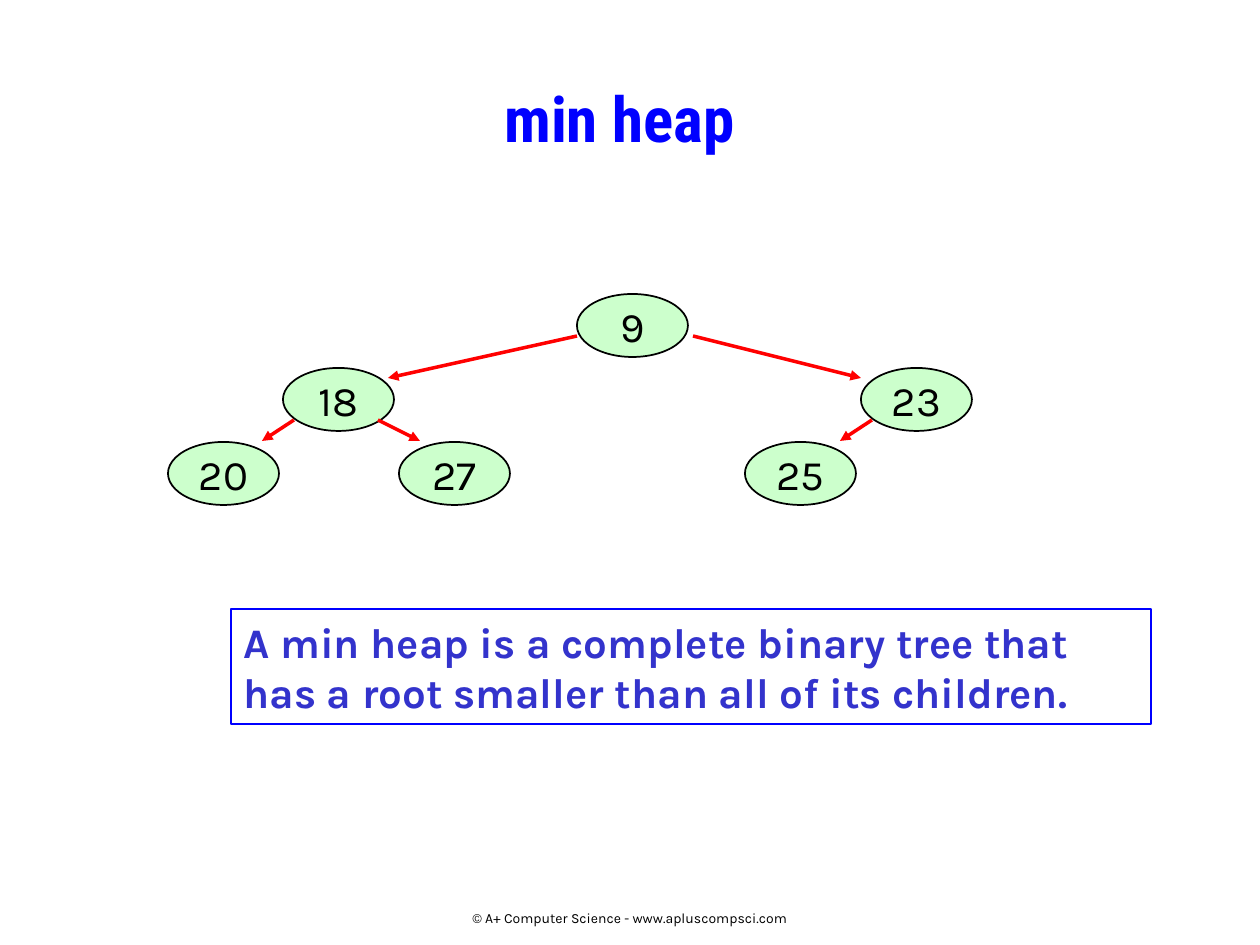
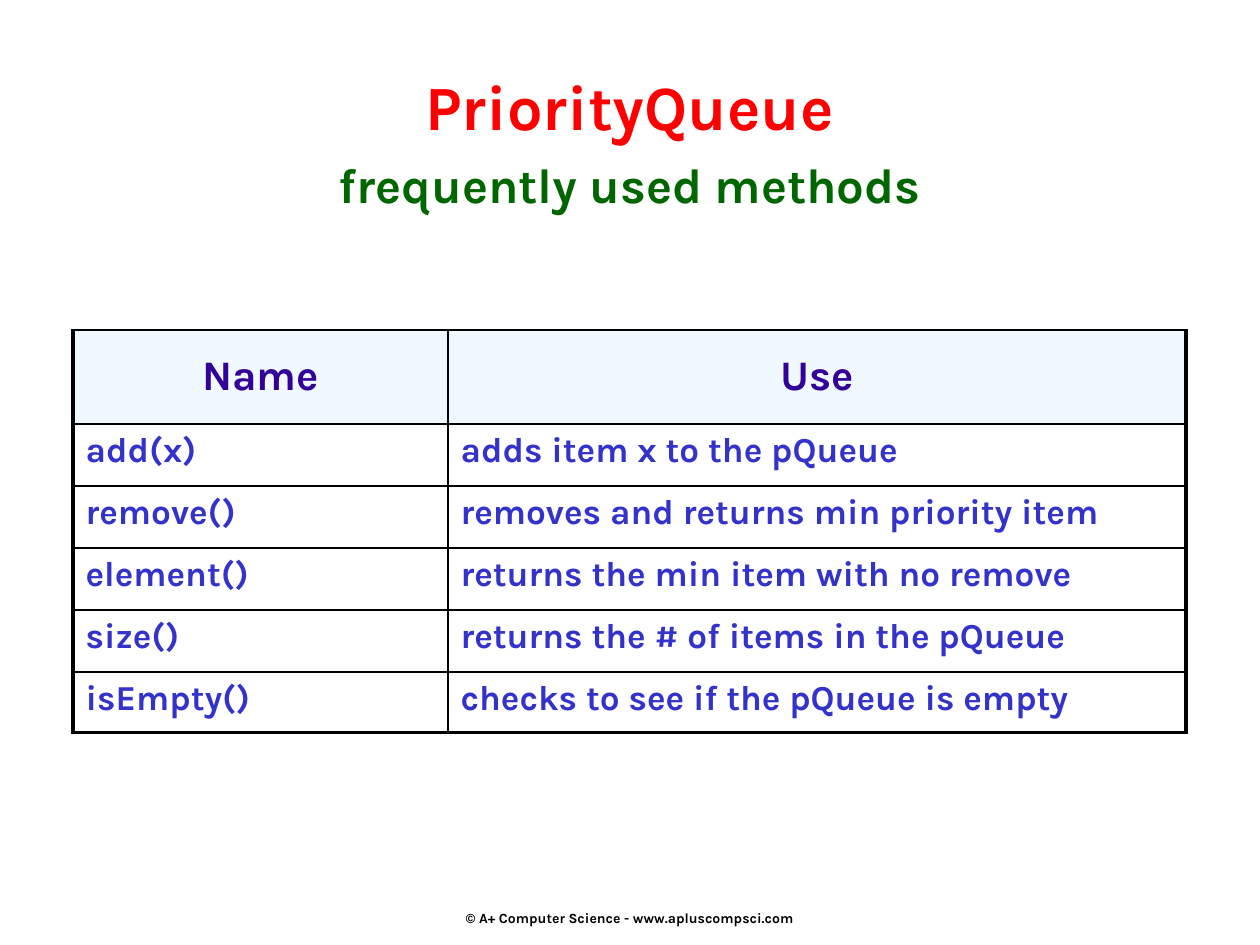
"""Build two slides on heaps: a min heap tree and the PriorityQueue methods."""
from lxml import etree
from pptx import Presentation
from pptx.dml.color import RGBColor
from pptx.enum.shapes import MSO_CONNECTOR, MSO_SHAPE
from pptx.enum.text import MSO_ANCHOR as ANCHOR, MSO_AUTO_SIZE as FIT, PP_ALIGN as ALIGN
from pptx.oxml.ns import qn
from pptx.util import Pt

PX = 914400 // 126
TITLE_ONLY = 5
COLORS = {
    "black": "000000", "blue": "0000FF", "red": "FF0000", "green": "006600",
    "indigo": "3333CC", "purple": "330099", "node": "CCFFCC", "header": "F0F9FF",
}


def rgb(name):
    return RGBColor.from_string(COLORS[name])


def write(para, text, size, color="black", font="Karla", bold=False,
          align=ALIGN.CENTER, before=0):
    para.alignment = align
    para.space_before = Pt(before)
    span = para.add_run()
    span.text = text
    span.font.name = font
    span.font.size = Pt(size)
    span.font.bold = bold
    span.font.color.rgb = rgb(color)


deck = Presentation()
deck.slide_width, deck.slide_height = 1260 * PX, 945 * PX
layout = deck.slide_layouts[TITLE_ONLY]
heap_page, queue_page = deck.slides.add_slide(layout), deck.slides.add_slide(layout)

title_places = [(heap_page, (189, 73, 861, 116), 6), (queue_page, (73, 55, 1113, 160), 12)]
for page, place, inset in title_places:
    title = page.shapes.title
    title.left, title.top, title.width, title.height = [n * PX for n in place]
    title.text_frame.auto_size = FIT.NONE
    title.text_frame.vertical_anchor = ANCHOR.TOP
    title.text_frame.margin_top = inset * PX

write(heap_page.shapes.title.text_frame.paragraphs[0], "min heap", 36, "blue",
      font="Roboto Condensed", bold=True)

tree_top, level_step = 294, 74
nodes = [("9", 577, 0), ("18", 283, 1), ("23", 861, 1),
         ("20", 168, 2), ("27", 399, 2), ("25", 745, 2)]
for value, left, level in nodes:
    node = heap_page.shapes.add_shape(
        MSO_SHAPE.OVAL, left * PX, (tree_top + level * level_step) * PX, 111 * PX, 63 * PX)
    node.shadow.inherit = False
    node.fill.solid()
    node.fill.fore_color.rgb = rgb("node")
    node.line.color.rgb = rgb("black")
    node.line.width = Pt(1)
    node.text_frame.word_wrap = False
    node.text_frame.vertical_anchor = ANCHOR.MIDDLE
    write(node.text_frame.paragraphs[0], value, 24)

edges = [(577, 336, 388, 378), (693, 336, 861, 378),
         (294, 420, 262, 441), (378, 420, 420, 441), (872, 420, 840, 441)]
for edge in edges:
    arrow = heap_page.shapes.add_connector(MSO_CONNECTOR.STRAIGHT, *[n * PX for n in edge])
    arrow.line.color.rgb = rgb("red")
    arrow.line.width = Pt(2)
    etree.SubElement(arrow.line._get_or_add_ln(), qn("a:tailEnd"), type="triangle")
    etree.SubElement(arrow._element.spPr, qn("a:effectLst"))

definition = heap_page.shapes.add_textbox(231 * PX, 609 * PX, 920 * PX, 115 * PX)
definition.line.color.rgb = rgb("blue")
definition.line.width = Pt(1)
definition.text_frame.word_wrap = True
definition.text_frame.vertical_anchor = ANCHOR.MIDDLE
write(definition.text_frame.paragraphs[0],
      "A min heap is a complete binary tree that has a root smaller than all of its children.",
      24, "indigo", bold=True, align=ALIGN.LEFT)

heading = queue_page.shapes.title.text_frame
write(heading.paragraphs[0], "PriorityQueue", 36, "red", bold=True)
write(heading.add_paragraph(), "frequently used methods", 28, "green", bold=True, before=7)

methods = [
    ("Name", "Use"),
    ("add(x)", "adds item x to the pQueue"),
    ("remove()", "removes and returns min priority item"),
    ("element()", "returns the min item with no remove"),
    ("size()", "returns the # of items in the pQueue"),
    ("isEmpty()", "checks to see if the pQueue is empty"),
]
column_widths, row_heights = [375, 738], [94, 62, 62, 62, 62, 61]
table = queue_page.shapes.add_table(
    len(methods), 2, 73 * PX, 330 * PX, sum(column_widths) * PX, sum(row_heights) * PX).table
for column, width in zip(table.columns, column_widths):
    column.width = width * PX
for r, (texts, height) in enumerate(zip(methods, row_heights)):
    table.rows[r].height = height * PX
    for c, text in enumerate(texts):
        cell = table.cell(r, c)
        para = cell.text_frame.paragraphs[0]
        borders = {"a:lnL": 2.25 if c == 0 else 1, "a:lnR": 2.25 if c == 1 else 1,
                   "a:lnT": 1, "a:lnB": 2.25 if r == len(methods) - 1 else 1}
        for side, width in borders.items():
            border = etree.SubElement(cell._tc.get_or_add_tcPr(), qn(side), w=str(Pt(width)))
            paint = etree.SubElement(border, qn("a:solidFill"))
            etree.SubElement(paint, qn("a:srgbClr"), val=COLORS["black"])
        if r == 0:
            cell.fill.solid()
            cell.fill.fore_color.rgb = rgb("header")
            cell.vertical_anchor = ANCHOR.MIDDLE
            write(para, text, 24, "purple", bold=True)
        else:
            cell.fill.background()
            write(para, text, 20, "indigo", bold=True, align=ALIGN.LEFT)

for page, bold in [(heap_page, False), (queue_page, True)]:
    footer = page.shapes.add_textbox(430 * PX, 900 * PX, 400 * PX, 36 * PX)
    footer.text_frame.word_wrap = True
    footer.text_frame.vertical_anchor = ANCHOR.MIDDLE
    write(footer.text_frame.paragraphs[0],
          "© A+ Computer Science - www.apluscompsci.com", 8, bold=bold)

deck.save("out.pptx")
